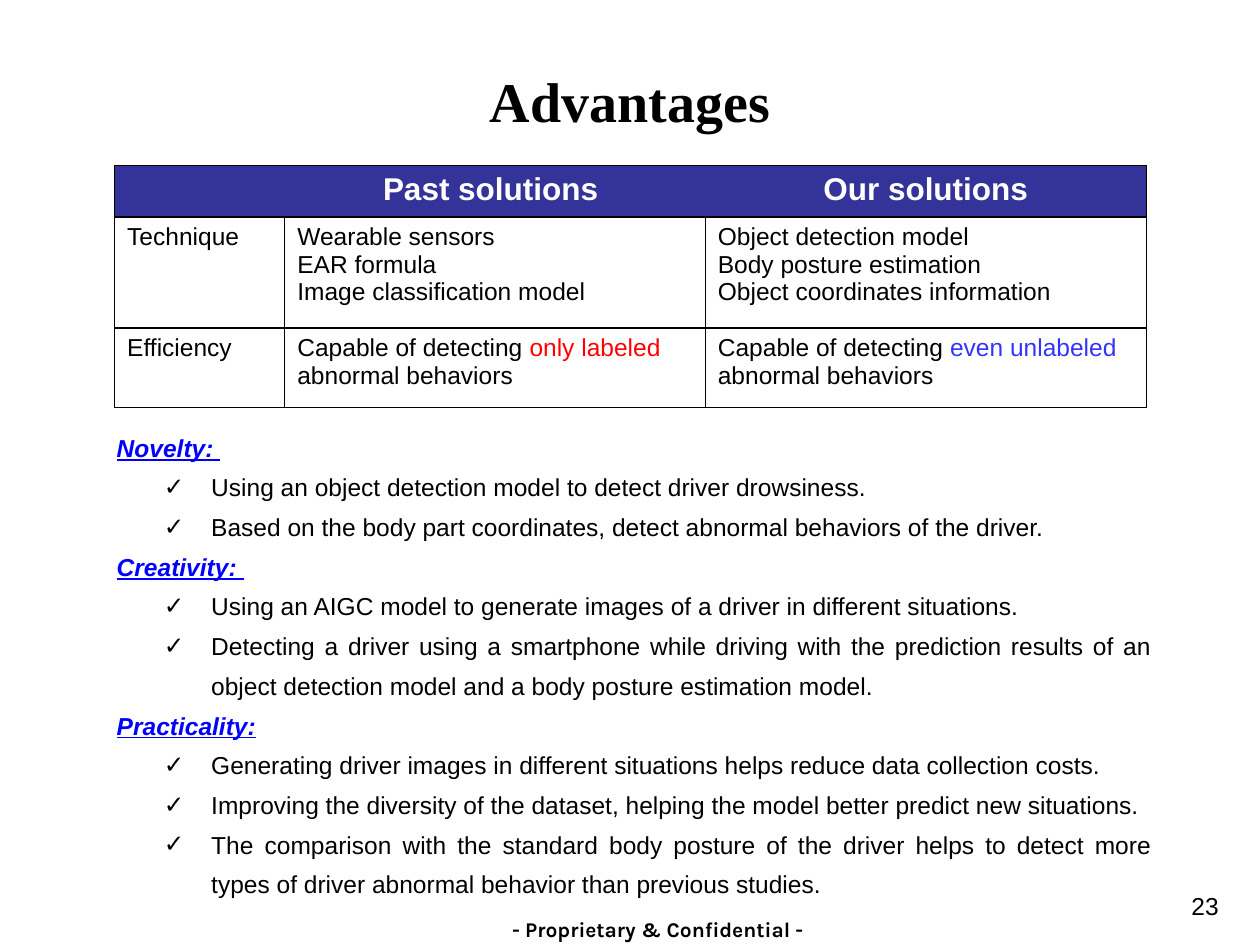
from lxml import etree
from pptx import Presentation
from pptx import util as u
from pptx.dml import color
from pptx.enum import text
from pptx.oxml import ns

Pt = u.Pt
ALIGN = text.PP_ALIGN
BLACK, WHITE, NAVY, BLUE = "000000", "FFFFFF", "333399", "0000FF"


def rgb(value):
    return color.RGBColor.from_string(value)


def add_text(paragraph, content, size=14, font="Arial", fill=BLACK, bold=False,
             italic=False, underline=False, align=ALIGN.LEFT):
    run = paragraph.add_run()
    run.text = content
    run.font.size = Pt(size)
    run.font.name = font
    run.font.color.rgb = rgb(fill)
    run.font.bold, run.font.italic, run.font.underline = bold, italic, underline
    paragraph.alignment = align


presentation = Presentation()
presentation.slide_width, presentation.slide_height = Pt(720), Pt(540)
slide = presentation.slides.add_slide(presentation.slide_layouts[1])

title, body = slide.placeholders
title.left, title.top, title.width, title.height = Pt(54), Pt(26), Pt(612), Pt(62.5)
title.text_frame.vertical_anchor = text.MSO_ANCHOR.MIDDLE
add_text(title.text_frame.paragraphs[0], "Advantages", size=32,
         font="Times New Roman", bold=True, align=ALIGN.CENTER)

rows = [
    (29.5, [[], [[("Past solutions ", WHITE)]], [[("Our solutions", WHITE)]]]),
    (63.5, [
        [[("Technique", BLACK)]],
        [[("Wearable sensors", BLACK)], [("EAR formula", BLACK)],
         [("Image classification model", BLACK)]],
        [[("Object detection model", BLACK)], [("Body posture estimation", BLACK)],
         [("Object coordinates information", BLACK)]],
    ]),
    (45.5, [
        [[("Efficiency", BLACK)]],
        [[("Capable of detecting ", BLACK), ("only labeled ", "FF0000"),
          ("abnormal behaviors", BLACK)]],
        [[("Capable of detecting ", BLACK), ("even unlabeled ", "3333FF"),
          ("abnormal behaviors", BLACK)]],
    ]),
]
table = slide.shapes.add_table(3, 3, Pt(65.5), Pt(94.5), Pt(589.5), Pt(138.5)).table
table.first_row = table.horz_banding = False
for column, width in zip(table.columns, (97.2, 240.3, 252)):
    column.width = Pt(width)

for row_index, (height, contents) in enumerate(rows):
    table.rows[row_index].height = Pt(height)
    header = row_index == 0
    for column_index, lines in enumerate(contents):
        cell = table.cell(row_index, column_index)
        properties = cell._tc.get_or_add_tcPr()
        for side in "LRTB":
            border = etree.SubElement(properties, ns.qn(f"a:ln{side}"), w=str(Pt(1)))
            inner = (side == "L" and column_index > 0) or (side == "R" and column_index < 2)
            if header and inner:
                etree.SubElement(border, ns.qn("a:noFill"))
            else:
                line_fill = etree.SubElement(border, ns.qn("a:solidFill"))
                etree.SubElement(line_fill, ns.qn("a:srgbClr"), val=BLACK)
        cell.fill.solid()
        cell.fill.fore_color.rgb = rgb(NAVY if header else WHITE)
        for line_index, runs in enumerate(lines):
            frame = cell.text_frame
            paragraph = frame.add_paragraph() if line_index else frame.paragraphs[0]
            for content, fill in runs:
                add_text(paragraph, content, size=18 if header else 14, fill=fill,
                         bold=header, align=ALIGN.CENTER if header else ALIGN.LEFT)

sections = [
    ("Novelty: ", [
        "Using an object detection model to detect driver drowsiness.",
        "Based on the body part coordinates, detect abnormal behaviors of the driver. ",
    ]),
    ("Creativity: ", [
        "Using an AIGC model to generate images of a driver in different situations.",
        "Detecting a driver using a smartphone while driving with the prediction results "
        "of an object detection model and a body posture estimation model.",
    ]),
    ("Practicality:", [
        "Generating driver images in different situations helps reduce data collection costs.",
        "Improving the diversity of the dataset, helping the model better predict new situations.",
        "The comparison with the standard body posture of the driver helps to detect more "
        "types of driver abnormal behavior than previous studies.",
    ]),
]
body.left, body.top, body.width, body.height = Pt(59.5), Pt(242), Pt(606), Pt(278)
frame = body.text_frame
frame.auto_size = text.MSO_AUTO_SIZE.NONE
paragraph = frame.paragraphs[0]
for heading, points in sections:
    for content in [heading, *points]:
        is_heading = content == heading
        first = content == sections[0][0]
        if not first:
            paragraph = frame.add_paragraph()
        paragraph.line_spacing = 1.1 if first else 1.35
        paragraph.space_before = Pt(0)
        add_text(paragraph, content, fill=BLUE if is_heading else BLACK, bold=is_heading,
                 italic=is_heading, underline=is_heading, align=ALIGN.JUSTIFY)
        properties = paragraph._p.get_or_add_pPr()
        properties.set("marL", str(Pt(0 if is_heading else 54)))
        properties.set("indent", str(Pt(0 if is_heading else -27)))
        if is_heading:
            etree.SubElement(properties, ns.qn("a:buNone"))
        else:
            etree.SubElement(properties, ns.qn("a:buChar"), char="✓")

number = slide.shapes.add_textbox(Pt(535.5), Pt(505.5), Pt(168), Pt(32.5)).text_frame
number.word_wrap = True
add_text(number.paragraphs[0], "23", align=ALIGN.RIGHT)

footer = slide.shapes.add_textbox(Pt(258), Pt(523.5), Pt(236), Pt(14.5)).text_frame
footer.word_wrap = True
footer.margin_left = footer.margin_right = footer.margin_top = footer.margin_bottom = 0
add_text(footer.paragraphs[0], "- Proprietary & Confidential -", size=12, font="Karla",
         bold=True, align=ALIGN.CENTER)

presentation.save("out.pptx")
